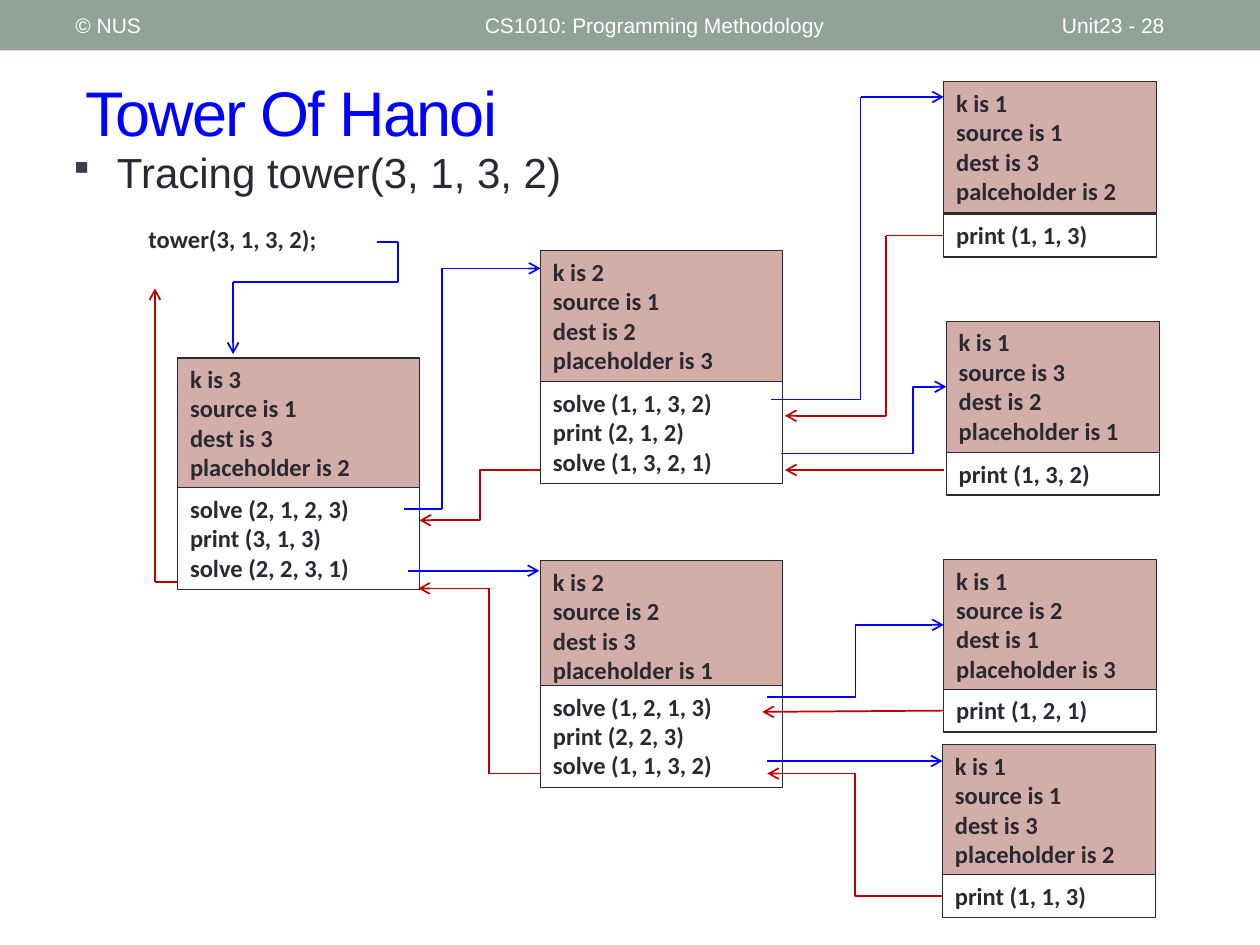
from lxml.etree import SubElement
from pptx import Presentation
from pptx.dml.color import RGBColor
from pptx.enum.shapes import MSO_CONNECTOR, MSO_SHAPE
from pptx.enum.text import MSO_ANCHOR, PP_ALIGN
from pptx.oxml.ns import qn
from pptx.util import Inches, Pt

COLORS = {
    "band": "93A299", "title": "0000FF", "ink": "292934", "bullet": "3B3B4B",
    "state": "D3AEA8", "white": "FFFFFF", "call": "0000FF", "back": "C00000",
}
TITLE = "Tower Of Hanoi"
TOPIC = "Tracing tower(3, 1, 3, 2)"
HEADER = [("© NUS", 0.5, 3.17), ("CS1010: Programming Methodology", 3.75, 4.5),
          ("Unit23 - 28", 8.33, 1.17)]

# left, top, width, state height, top of steps; k, source, dest; last line; steps
FRAMES = [
    (1.41, 2.84, 1.92, 1.28, 3.87, (3, 1, 3), "placeholder is 2",
     ["solve (2, 1, 2, 3)", "print (3, 1, 3)", "solve (2, 2, 3, 1)"]),
    (4.29, 1.99, 1.92, 1.28, 3.03, (2, 1, 2), "placeholder is 3",
     ["solve (1, 1, 3, 2)", "print (2, 1, 2)", "solve (1, 3, 2, 1)"]),
    (4.29, 4.45, 1.92, 1.28, 5.44, (2, 2, 3), "placeholder is 1",
     ["solve (1, 2, 1, 3)", "print (2, 2, 3)", "solve (1, 1, 3, 2)"]),
    (7.49, 0.65, 1.69, 1.04, 1.7, (1, 1, 3), "palceholder is 2", ["print (1, 1, 3)"]),
    (7.51, 2.55, 1.69, 1.04, 3.59, (1, 3, 2), "placeholder is 1", ["print (1, 3, 2)"]),
    (7.49, 4.44, 1.69, 1.04, 5.47, (1, 2, 1), "placeholder is 3", ["print (1, 2, 1)"]),
    (7.48, 5.91, 1.69, 1.04, 6.94, (1, 1, 3), "placeholder is 2", ["print (1, 1, 3)"]),
]
STEP_HEIGHT = {1: 0.34, 3: 0.81}

# Straight legs through the points, arrow on the last leg
ROUTES = [
    ("call", [(2.99, 1.92), (3.16, 1.92), (3.16, 2.24), (1.85, 2.24), (1.85, 2.81)]),
    ("call", [(3.21, 4.04), (3.51, 4.04), (3.51, 2.13), (4.29, 2.13)]),
    ("call", [(3.24, 4.53), (4.28, 4.53)]),
    ("call", [(6.12, 3.17), (6.83, 3.17), (6.83, 0.77), (7.49, 0.77)]),
    ("back", [(7.49, 1.87), (7.03, 1.87), (7.03, 3.3), (6.23, 3.3)]),
    ("back", [(7.49, 3.73), (6.23, 3.73)]),
    ("back", [(7.49, 5.65), (6.05, 5.65)]),
    ("call", [(6.09, 6.04), (7.48, 6.04)]),
    ("back", [(4.29, 6.14), (3.88, 6.14), (3.88, 4.67), (3.32, 4.67)]),
    ("back", [(1.41, 4.62), (1.23, 4.62), (1.23, 2.29)]),
]
# Start, end, share of the width at which the elbow turns
ELBOWS = [
    ("call", (6.2, 3.6), (7.51, 3.08), 0.8),
    ("back", (4.29, 3.73), (3.33, 4.13), 0.5),
    ("call", (6.09, 5.53), (7.49, 4.96), 0.5),
    ("back", (7.48, 7.11), (6.09, 6.14), 0.5),
]

deck = Presentation()
deck.slide_width, deck.slide_height = Inches(10), Inches(7.5)
slide = deck.slides.add_slide(deck.slide_layouts[5])
shapes = slide.shapes
boxes = []


def color(name):
    return RGBColor.from_string(COLORS[name])


def write(shape, lines, size, font, ink, bold=False, anchor=MSO_ANCHOR.TOP):
    frame = shape.text_frame
    frame.word_wrap = True
    frame.vertical_anchor = anchor
    for i, line in enumerate(lines):
        para = frame.paragraphs[0] if i == 0 else frame.add_paragraph()
        para.alignment = PP_ALIGN.LEFT
        run = para.add_run()
        run.text = line
        run.font.size, run.font.name, run.font.bold = Pt(size), font, bold
        run.font.color.rgb = color(ink)
    return frame.paragraphs[0]


def textbox(*place):
    return shapes.add_textbox(*map(Inches, place))


def rect(place, fill, line=None):
    box = shapes.add_shape(MSO_SHAPE.RECTANGLE, *map(Inches, place))
    box.shadow.inherit = False
    box.fill.solid()
    box.fill.fore_color.rgb = color(fill)
    if line:
        box.line.color.rgb = color(line)
        box.line.width = Pt(0.75)
    else:
        box.line.fill.background()
    return box


def join(link, point, attach):
    """Attach an end that meets the middle of a box's left or right side."""
    x, y = map(Inches, point)
    near = Inches(0.02)
    for box in boxes:
        for site, side in ((1, box.left), (3, box.left + box.width)):
            if abs(x - side) < near and abs(y - box.top - box.height // 2) < near:
                attach(box, site)
                return


def connect(kind, start, end, ink, arrow=True, bend=None):
    link = shapes.add_connector(kind, *map(Inches, start + end))
    link.line.color.rgb = color(ink)
    link.line.width = Pt(1)
    props = link._element.spPr
    if arrow:
        SubElement(props.find(qn("a:ln")), qn("a:tailEnd"), type="arrow")
    SubElement(props, qn("a:effectLst"))
    if bend:
        guides = props.find(qn("a:prstGeom")).find(qn("a:avLst"))
        SubElement(guides, qn("a:gd"), name="adj1", fmla=f"val {round(bend * 100000)}")
    join(link, start, link.begin_connect)
    join(link, end, link.end_connect)


rect((0, 0, 10, 0.4), "band")
for text, left, width in HEADER:
    write(textbox(left, 0.02, width, 0.36), [text], 12, "Arial", "white",
          anchor=MSO_ANCHOR.MIDDLE)

title = shapes.title
title.left, title.top, title.width, title.height = map(Inches, (0.58, 0.42, 9.17, 0.92))
head = write(title, [TITLE], 36, "Arial", "title", anchor=MSO_ANCHOR.MIDDLE)
head.runs[0].font._element.set("spc", "-100")

topic = write(textbox(0.45, 1.11, 5.25, 0.63), [TOPIC], 24, "Arial", "ink")
topic.space_before = Pt(6)
props = topic._p.get_or_add_pPr()
props.set("marL", str(Inches(0.38)))
props.set("indent", str(-Inches(0.38)))
SubElement(SubElement(props, qn("a:buClr")), qn("a:srgbClr"), val=COLORS["bullet"])
SubElement(props, qn("a:buSzPct"), val="80000")
SubElement(props, qn("a:buChar"), char="▪")

write(textbox(1.08, 1.73, 1.97, 0.34), ["tower(3, 1, 3, 2);"], 14, "Calibri", "ink", True)

for left, top, width, height, below, (k, source, dest), spare, steps in FRAMES:
    state = [f"k is {k}", f"source is {source}", f"dest is {dest}", spare]
    parts = [(top, height, "state", state),
             (below, STEP_HEIGHT[len(steps)], "white", steps)]
    for y, tall, fill, lines in parts:
        box = rect((left, y, width, tall), fill, "ink")
        write(box, lines, 14, "Calibri", "ink", True)
        boxes.append(box)

for ink, points in ROUTES:
    for i, (start, end) in enumerate(zip(points, points[1:]), 2):
        connect(MSO_CONNECTOR.STRAIGHT, start, end, ink, arrow=i == len(points))
for ink, start, end, bend in ELBOWS:
    connect(MSO_CONNECTOR.ELBOW, start, end, ink, bend=bend)

deck.save("out.pptx")
